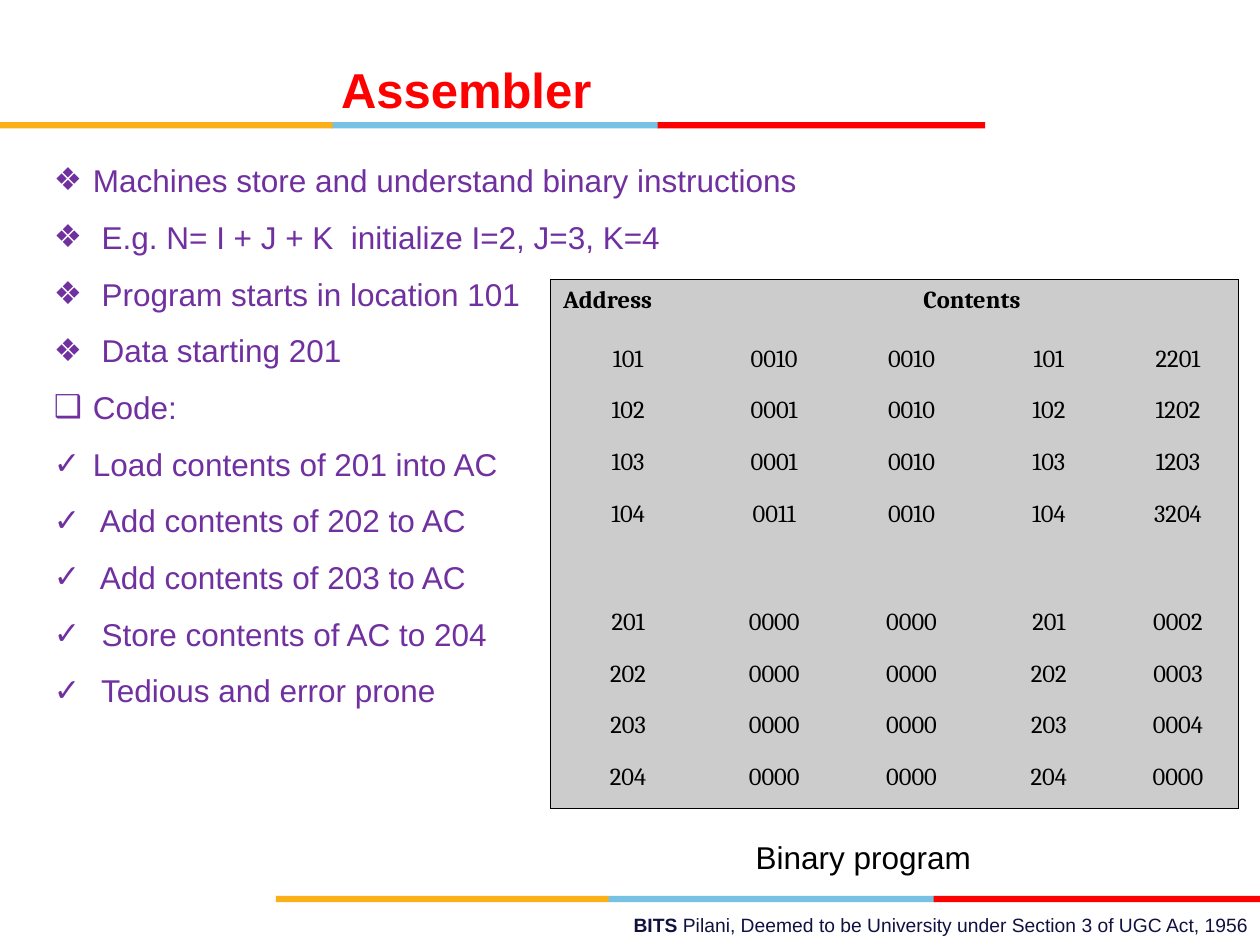
from pptx import Presentation
from pptx.dml.color import RGBColor as Rgb
from pptx.enum.shapes import MSO_SHAPE as Shape
from pptx.enum.text import MSO_ANCHOR as Anchor, MSO_AUTO_SIZE as AutoSize, PP_ALIGN as Align
from pptx.oxml.ns import qn
from pptx.util import Inches, Pt
from lxml.etree import SubElement

COLORS = {"gold": "FCB017", "blue": "76C2E5", "red": "FF0000", "navy": "101141",
          "purple": "7030A0", "black": "000000", "gray": "CCCCCC"}

BULLETS = [
    ("❖", "Machines store and understand binary instructions"),
    ("❖", " E.g. N= I + J + K  initialize I=2, J=3, K=4"),
    ("❖", " Program starts in location 101"),
    ("❖", " Data starting 201"),
    ("❑", "Code:"),
    ("✓", "Load contents of 201 into AC"),
    ("✓", " Add contents of 202 to AC"),
    ("✓", " Add contents of 203 to AC"),
    ("✓", " Store contents of AC to 204"),
    ("✓", " Tedious and error prone"),
]

MEMORY = [
    "Address Contents",
    "101 0010 0010 101 2201",
    "102 0001 0010 102 1202",
    "103 0001 0010 103 1203",
    "104 0011 0010 104 3204",
    "",
    "201 0000 0000 201 0002",
    "202 0000 0000 202 0003",
    "203 0000 0000 203 0004",
    "204 0000 0000 204 0000",
]
COLUMN_WIDTHS = [1.23, 1.09, 1.09, 1.09, 0.96]
ROW_HEIGHTS = [0.47] + [0.41] * 4 + [0.45] + [0.41] * 4


class SlideWriter:
    def __init__(self, slide):
        self.slide = slide

    def set_values(self, target, values):
        for name, value in values.items():
            setattr(target, name, value)

    def add_span(self, para, text, size, color, bold=False, font="Arial"):
        span = para.add_run()
        span.text = text
        self.set_values(span.font, {"name": font, "size": Pt(size), "bold": bold})
        span.font.color.rgb = Rgb.from_string(COLORS[color])

    def hang(self, para, indent):
        props = para._p.get_or_add_pPr()
        props.set("marL", str(Inches(indent)))
        props.set("indent", str(-Inches(indent)))
        return props

    def add_box(self, left, top, width, height, **frame_values):
        box = self.slide.shapes.add_textbox(*map(Inches, (left, top, width, height)))
        self.set_values(box.text_frame, {"word_wrap": True, **frame_values})
        return box.text_frame

    def add_stripe(self, left, top):
        """Three-colour band; blue goes first so gold and red meet it cleanly."""
        for color, offset, width in (("blue", 2.63, 2.6), ("gold", 0, 2.64), ("red", 5.22, 2.6)):
            bar = self.slide.shapes.add_shape(
                Shape.RECTANGLE, *map(Inches, (left + offset, top, width, 0.05)))
            bar.shadow.inherit = False
            bar.fill.solid()
            bar.fill.fore_color.rgb = Rgb.from_string(COLORS[color])
            bar.line.fill.background()

    def add_bullets(self, frame, items):
        for index, (mark, text) in enumerate(items):
            para = frame.add_paragraph() if index else frame.paragraphs[0]
            para.line_spacing = 1.5
            props = self.hang(para, 0.31)
            SubElement(props, qn("a:buFont"), typeface="Arial")
            SubElement(props, qn("a:buChar"), char=mark)
            self.add_span(para, text, 18, "purple")

    def set_borders(self, cell, drawn_sides):
        props = cell._tc.get_or_add_tcPr()
        for side in "LRTB":
            line = SubElement(props, qn(f"a:ln{side}"), w=str(Pt(1)))
            if side in drawn_sides:
                fill = SubElement(line, qn("a:solidFill"))
                SubElement(fill, qn("a:srgbClr"), val=COLORS["black"])
            else:
                SubElement(line, qn("a:noFill"))

    def add_memory_table(self, left, top, rows, widths, heights):
        last_row, last_column = len(heights) - 1, len(widths) - 1
        table = self.slide.shapes.add_table(
            len(heights), len(widths),
            *map(Inches, (left, top, sum(widths), sum(heights)))).table
        self.set_values(table, {"first_row": False, "horz_banding": False})
        for column, width in zip(table.columns, widths):
            column.width = Inches(width)
        for row, height in zip(table.rows, heights):
            row.height = Inches(height)
        table.cell(0, 1).merge(table.cell(0, last_column))

        for r, row in enumerate(rows):
            words = row.split()
            for c in range(len(widths)):
                cell = table.cell(r, c)
                # Only the outer frame of the table is drawn
                edges = {"L": c == 0, "R": c == last_column or (r == 0 and c == 1),
                         "T": r == 0, "B": r == last_row}
                self.set_borders(cell, [side for side, drawn in edges.items() if drawn])
                cell.fill.solid()
                cell.fill.fore_color.rgb = Rgb.from_string(COLORS["gray"])
                if c < len(words):
                    para = cell.text_frame.paragraphs[0]
                    para.alignment = Align.LEFT if r == c == 0 else Align.CENTER
                    self.hang(para, 0.38)
                    self.add_span(para, words[c], 14, "black", r == 0, "Cambria")


def main():
    deck = Presentation()
    deck.slide_width, deck.slide_height = Inches(10), Inches(7.5)
    page = SlideWriter(deck.slides.add_slide(deck.slide_layouts[6]))

    # Header stripe, footer text and footer stripe
    page.add_stripe(0, 0.97)
    para = page.add_box(3.46, 7.2, 6.55, 0.29, auto_size=AutoSize.SHAPE_TO_FIT_TEXT).paragraphs[0]
    para.alignment = Align.RIGHT
    page.add_span(para, "BITS ", 11, "navy", True)
    page.add_span(para, "Pilani, Deemed to be University under Section 3 of UGC Act, 1956",
                  11, "navy")
    page.add_stripe(2.19, 7.11)

    # Title
    para = page.add_box(0.13, 0.29, 7.14, 0.65, vertical_anchor=Anchor.BOTTOM, margin_left=0,
                        margin_right=0, margin_top=0, margin_bottom=0).paragraphs[0]
    para.alignment = Align.CENTER
    page.add_span(para, "Assembler", 28, "red", True)

    # Points, memory table and its caption
    page.add_bullets(page.add_box(0.33, 1.08, 8.5, 4.59,
                                  auto_size=AutoSize.SHAPE_TO_FIT_TEXT), BULLETS)
    page.add_memory_table(4.37, 2.22, MEMORY, COLUMN_WIDTHS, ROW_HEIGHTS)
    caption = page.add_box(5.83, 6.6, 2, 0.4, word_wrap=False,
                           auto_size=AutoSize.SHAPE_TO_FIT_TEXT)
    page.add_span(caption.paragraphs[0], " Binary program", 18, "black")

    deck.save("out.pptx")


if __name__ == "__main__":
    main()
